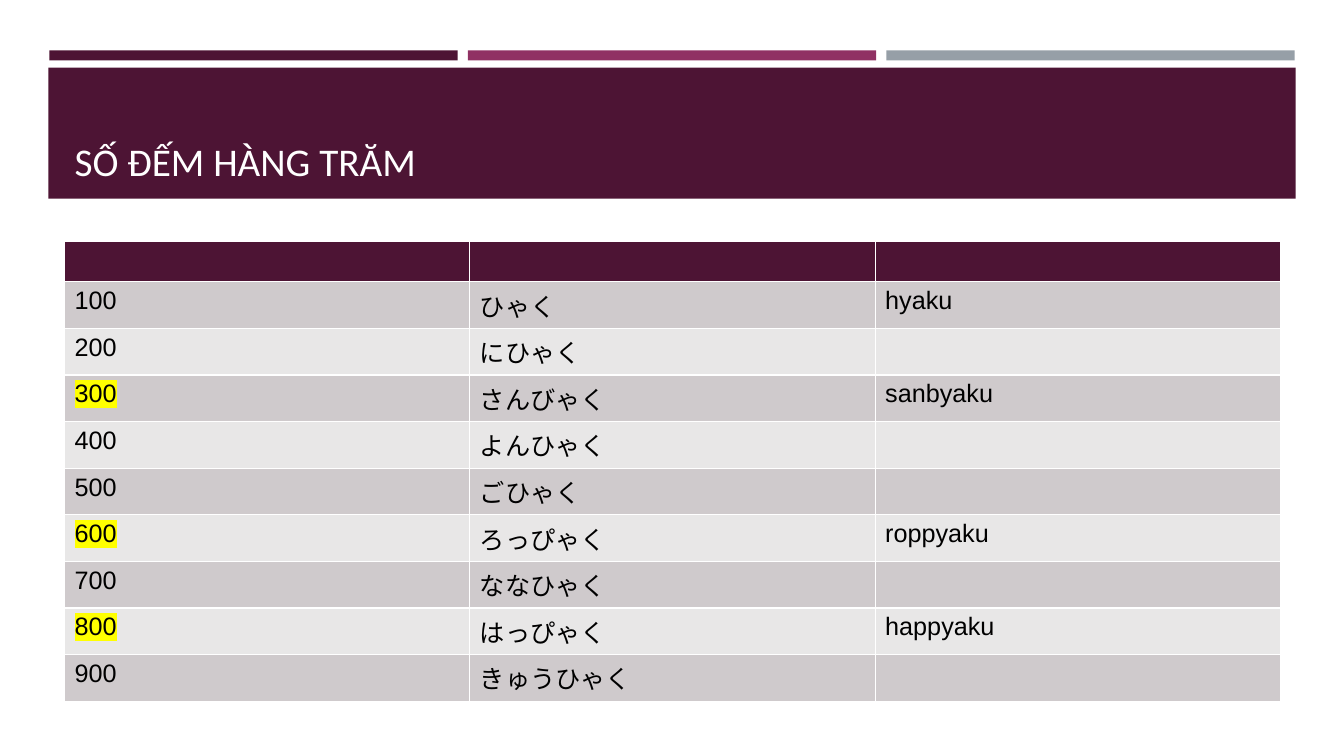
from dataclasses import dataclass

from lxml.etree import SubElement
from pptx import Presentation
from pptx.dml.color import RGBColor
from pptx.enum.shapes import MSO_SHAPE as SHAPE
from pptx.enum.text import MSO_ANCHOR as ANCHOR, MSO_AUTO_SIZE as AUTO_SIZE, PP_ALIGN as ALIGN
from pptx.oxml.ns import qn
from pptx.util import Inches, Pt

PLUM, MAGENTA, GREY = "4D1434", "903163", "969FA7"
BLACK, WHITE, YELLOW = "000000", "FFFFFF", "FFFF00"
BANDS = ("CFCACC", "E8E7E7")


@dataclass
class Block:
    left: float
    top: float
    width: float
    height: float
    color: str


@dataclass
class Number:
    value: str
    kana: str
    romaji: str = ""
    irregular: bool = False


BLOCKS = [
    *(Block(0.49 + i * 4.15, 0.5, 4.05, 0.1, color)
      for i, color in enumerate((PLUM, MAGENTA, GREY))),
    Block(0.48, 0.67, 12.37, 1.3, PLUM),
]

NUMBERS = [
    Number("100", "ひゃく", "hyaku"),
    Number("200", "にひゃく"),
    Number("300", "さんびゃく", "sanbyaku", True),
    Number("400", "よんひゃく"),
    Number("500", "ごひゃく"),
    Number("600", "ろっぴゃく", "roppyaku", True),
    Number("700", "ななひゃく"),
    Number("800", "はっぴゃく", "happyaku", True),
    Number("900", "きゅうひゃく"),
]


def rgb(color: str) -> RGBColor:
    return RGBColor.from_string(color)


def fill(target, color: str) -> None:
    target.fill.solid()
    target.fill.fore_color.rgb = rgb(color)


def format_run(r, font: str, size: float, color: str) -> None:
    r.font.name = font
    r.font.size = Pt(size)
    r.font.color.rgb = rgb(color)


def highlight(r, color: str) -> None:
    rpr = r.font._element
    mark = SubElement(rpr, qn("a:highlight"))
    SubElement(mark, qn("a:srgbClr"), val=color)
    rpr.find(qn("a:solidFill")).addnext(mark)


def draw_block(s, block: Block) -> None:
    sp = s.shapes.add_shape(SHAPE.RECTANGLE, Inches(block.left), Inches(block.top),
                            Inches(block.width), Inches(block.height))
    sp.shadow.inherit = False
    fill(sp, block.color)
    sp.line.fill.background()


def draw_title(s, text: str) -> None:
    title = s.shapes.title
    s.shapes._spTree.append(title._element)
    title.left, title.top = Inches(0.64), Inches(0.77)
    title.width, title.height = Inches(12.06), Inches(1.11)
    tf = title.text_frame
    tf.text = text
    tf.auto_size = AUTO_SIZE.NONE
    tf.vertical_anchor = ANCHOR.BOTTOM
    p = tf.paragraphs[0]
    p.alignment = ALIGN.LEFT
    format_run(p.runs[0], "Calibri", 28, WHITE)


def draw_table(s, numbers: list[Number]) -> None:
    rows = len(numbers) + 1
    table = s.shapes.add_table(rows, 3, Inches(0.64), Inches(2.39),
                               Inches(12.06), Inches(rows * 0.406)).table
    for cell in table.rows[0].cells:
        fill(cell, PLUM)
    for i, number in enumerate(numbers):
        texts = (number.value, number.kana, number.romaji)
        fonts = ("Arial", "Calibri", "Arial")
        for cell, text, font in zip(table.rows[i + 1].cells, texts, fonts):
            fill(cell, BANDS[i % 2])
            cell.text_frame.text = text
            for r in cell.text_frame.paragraphs[0].runs:
                format_run(r, font, 18, BLACK)
        if number.irregular:
            highlight(table.cell(i + 1, 0).text_frame.paragraphs[0].runs[0], YELLOW)


def main() -> None:
    prs = Presentation()
    prs.slide_width, prs.slide_height = Inches(13.33), Inches(7.5)
    s = prs.slides.add_slide(prs.slide_layouts[5])
    fill(s.background, WHITE)
    for block in BLOCKS:
        draw_block(s, block)
    draw_title(s, "SỐ ĐẾM HÀNG TRĂM")
    draw_table(s, NUMBERS)
    prs.save("out.pptx")


if __name__ == "__main__":
    main()
